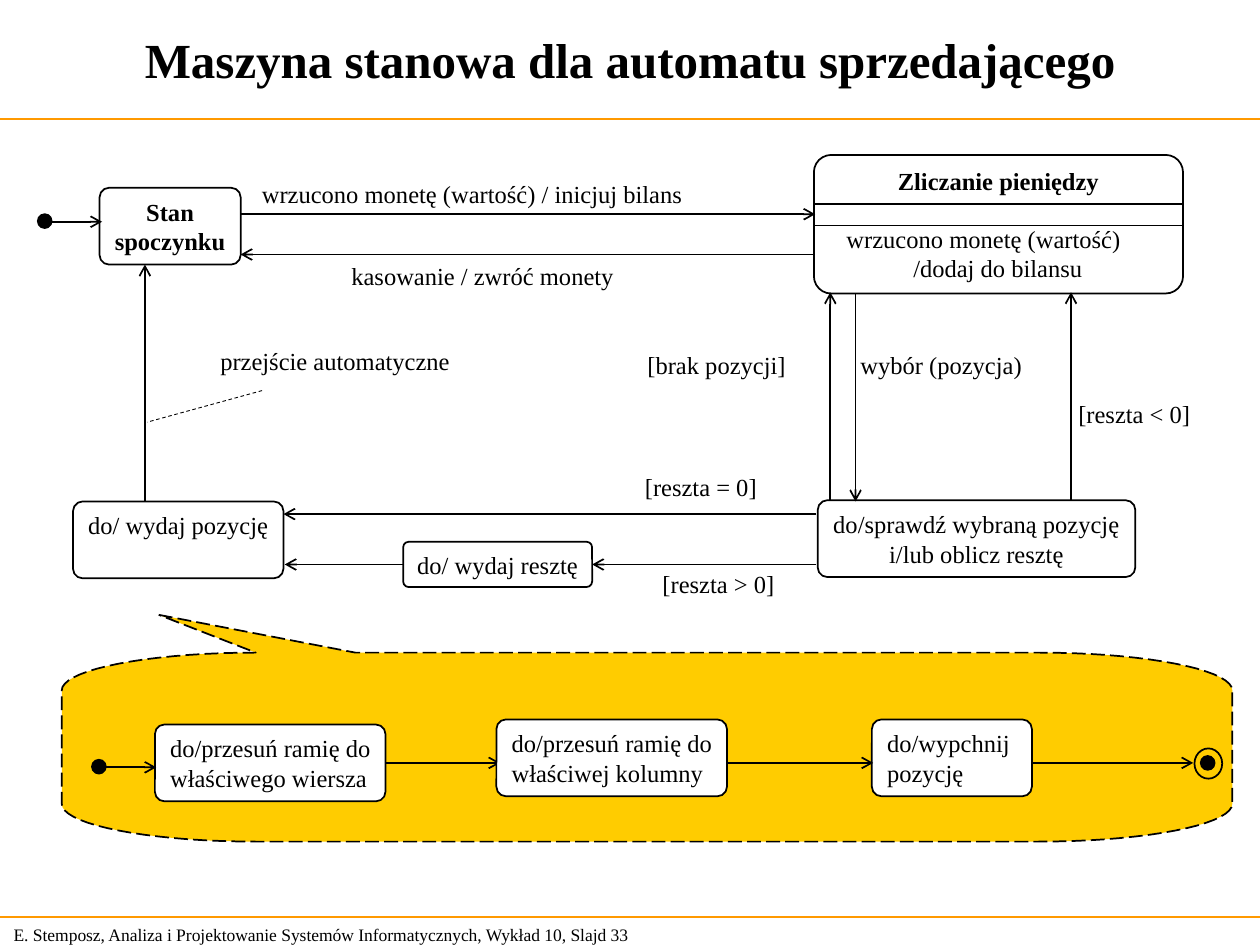
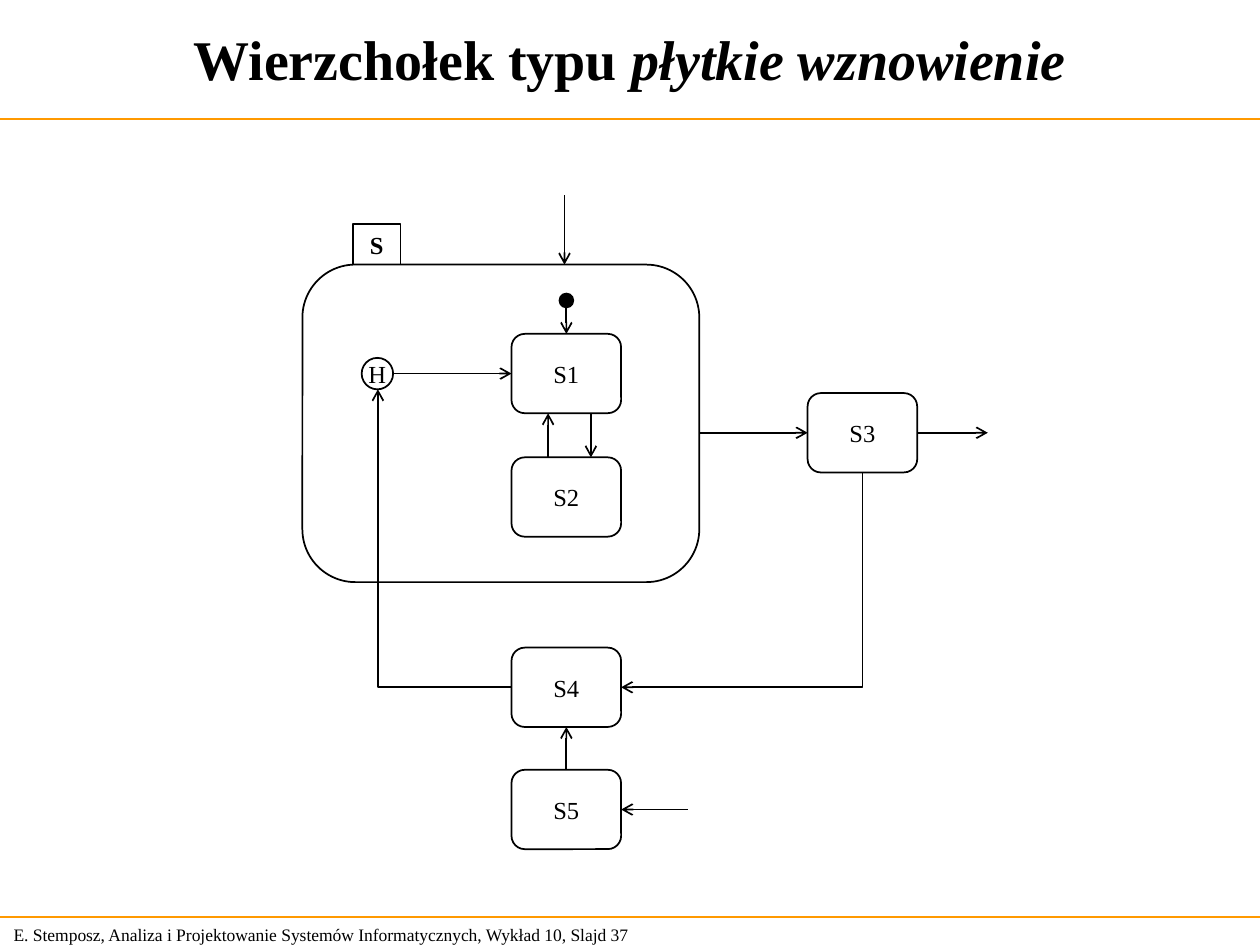
from dataclasses import dataclass
from math import cos, radians, sin

from lxml import etree
from pptx import Presentation
from pptx.dml.color import RGBColor
from pptx.enum.dml import MSO_LINE
from pptx.enum.shapes import MSO_CONNECTOR, MSO_SHAPE
from pptx.enum.text import MSO_ANCHOR, MSO_AUTO_SIZE, PP_ALIGN
from pptx.oxml.ns import qn
from pptx.util import Inches, Pt

ROUND, OVAL, RECT = MSO_SHAPE.ROUNDED_RECTANGLE, MSO_SHAPE.OVAL, MSO_SHAPE.RECTANGLE
STRAIGHT, ELBOW = MSO_CONNECTOR.STRAIGHT, MSO_CONNECTOR.ELBOW
LEFT, CENTER = PP_ALIGN.LEFT, PP_ALIGN.CENTER
TOP, MIDDLE = MSO_ANCHOR.TOP, MSO_ANCHOR.MIDDLE
DASH, LONG = MSO_LINE.DASH, MSO_LINE.LONG_DASH
UP, WEST, DOWN, EAST = range(4)  # sides of a box


@dataclass(frozen=True)
class Theme:
    font: str = "Times New Roman"
    ink: RGBColor = RGBColor(0, 0, 0)
    paper: RGBColor = RGBColor(255, 255, 255)
    rule: RGBColor = RGBColor(0xFF, 0x99, 0x00)
    gold: RGBColor = RGBColor(0xFF, 0xCC, 0x00)
    body: int = 14
    foot: int = 10
    thin: float = 0.75
    line: float = 1


theme = Theme()
deck = Presentation()
deck.slide_width, deck.slide_height = Inches(10), Inches(7.5)
U = deck.slide_width // 100  # grid of 100 columns by 75 rows


def box(page, kind, left, top, width, height, text="", fill=None, bend=None,
        align=LEFT, anchor=TOP, bold=False, size=theme.body):
    """Draw a shape, or a text box when kind is None, on the grid."""
    place = [round(v * U) for v in (left, top, width, height)]
    if kind is None:
        item = page.shapes.add_textbox(*place)
    else:
        item = page.shapes.add_shape(kind, *place)
        item.shadow.inherit = False
        item.line.color.rgb = theme.ink
        item.line.width = Pt(theme.line)
        if fill is None:
            item.fill.background()
        else:
            item.fill.solid()
            item.fill.fore_color.rgb = fill
        if bend:
            item.adjustments[0] = bend
    if text:
        frame = item.text_frame
        frame.word_wrap = kind is None
        frame.vertical_anchor = anchor
        frame.text = text
        for para in frame.paragraphs:
            para.alignment = align
            para.font.name, para.font.size = theme.font, Pt(size)
            para.font.bold, para.font.color.rgb = bold, theme.ink
    return item


def link(page, start, stop, tip="a:tailEnd", kind=STRAIGHT,
         color=theme.ink, width=theme.line, dash=None):
    """Join two ends, each a grid point or a (box, side) pair."""
    wire = page.shapes.add_connector(kind, 0, 0, 0, 0)
    if isinstance(start[0], (int, float)):
        wire.begin_x, wire.begin_y = (round(v * U) for v in start)
    else:
        wire.begin_connect(*start)
    if isinstance(stop[0], (int, float)):
        wire.end_x, wire.end_y = (round(v * U) for v in stop)
    else:
        wire.end_connect(*stop)
    wire.line.color.rgb, wire.line.width = color, Pt(width)
    if dash:
        wire.line.dash_style = dash
    props = wire.element.spPr
    if tip:
        etree.SubElement(props.find(qn("a:ln")), qn(tip), type="arrow")
    if kind == ELBOW:  # a single corner
        props.find(qn("a:prstGeom")).set("prst", "bentConnector2")
    etree.SubElement(props, qn("a:effectLst"))


# Shared frame: footer, rules and title
heads = [
    (33, 28, [("Maszyna stanowa dla automatu sprzedającego", False)]),
    (37, 32, [("Wierzchołek typu ", False), ("płytkie wznowienie", True)]),
]
pages = []
for number, size, parts in heads:
    page = deck.slides.add_slide(deck.slide_layouts[5])
    pages.append(page)
    box(page, None, 0.1, 72.8, 60, 2.7,
        f"E. Stemposz, Analiza i Projektowanie Systemów Informatycznych, Wykład 10, Slajd {number}",
        anchor=MIDDLE, size=theme.foot)
    for row in (9.43, 72.77):
        link(page, (0, row), (100, row), None, color=theme.rule)
    title = page.shapes.title
    title.left, title.top, title.width, title.height = 0, 0, 100 * U, round(9.3 * U)
    frame = title.text_frame
    frame.auto_size, frame.vertical_anchor = MSO_AUTO_SIZE.NONE, MIDDLE
    para = frame.paragraphs[0]
    para.alignment = CENTER
    para.font.name, para.font.size = theme.font, Pt(size)
    para.font.bold, para.font.color.rgb = True, theme.ink
    for words, slant in parts:
        run = para.add_run()
        run.text = words
        if slant:
            run.font.italic = True

vend, resume = pages

# Vending machine: callout with elliptic corners
dots = [(12.6, 48.8), (28.2, 51.8)]
corners = [(82.4, 54.8), (82.4, 63.8), (20.3, 63.8), (20.3, 54.8)]
for turn, (col, row) in enumerate(corners):
    for step in range(0, 91, 5):
        angle = radians(90 * turn - 90 + step)
        dots.append((col + 15.4 * cos(angle), row + 3 * sin(angle)))
dots = [(round(x * U), round(y * U)) for x, y in dots]
pen = vend.shapes.build_freeform(*dots[0])
pen.add_line_segments(dots[1:], close=True)
cloud = pen.convert_to_shape()
cloud.shadow.inherit = False
cloud.fill.solid()
cloud.fill.fore_color.rgb = theme.gold
cloud.line.color.rgb, cloud.line.width = theme.ink, Pt(theme.line)
cloud.line.dash_style = LONG

# Vending machine: labels, with room to stay on one line
for left, top, width, words in [
    (19.8, 13.7, 40, "wrzucono monetę (wartość) / inicjuj bilans"),
    (26.9, 20.2, 28, "kasowanie / zwróć monety"),
    (84.6, 31.2, 13, "[reszta < 0]"),
    (51.6, 44.7, 13, "[reszta > 0]"),
    (67.3, 27.3, 17, "wybór (pozycja)"),
    (50.4, 27.3, 15, "[brak pozycji]"),
    (50.2, 37, 13, "[reszta = 0]"),
    (16.5, 27, 26, "przejście automatyczne"),
]:
    box(vend, None, left, top, width, 3.3, words)

# Vending machine: states
box(vend, ROUND, 7.9, 14.9, 11.2, 6.1, "Stan\nspoczynku", bend=0.125, align=CENTER, bold=True)
box(vend, ROUND, 5.8, 39.8, 16.7, 6.1, "do/ wydaj pozycję", theme.paper, 0.125)
change = box(vend, ROUND, 32, 43, 15, 3.6, "do/ wydaj resztę", theme.paper, 0.125)
box(vend, ROUND, 64.9, 39.7, 25.2, 6.1, "do/sprawdź wybraną pozycję\ni/lub oblicz resztę",
    theme.paper, 0.125, CENTER)

# Vending machine: counting state with its own compartments
count = box(vend, ROUND, 64.6, 12.3, 29.3, 11,
            "Zliczanie pieniędzy\nwrzucono monetę (wartość)\n/dodaj do bilansu",
            theme.paper, 0.125, CENTER)
count.text_frame.word_wrap = True
name, first, second = count.text_frame.paragraphs
name.font.bold = True
first.space_before = Pt(16)
for para, indent in ((first, 0.12), (second, 0.65)):
    para.alignment = LEFT
    para._p.get_or_add_pPr().set("marL", str(Inches(indent)))
for row in (16.2, 17.9):
    link(vend, (64.7, row), (93.8, row), None, width=theme.thin)

# Vending machine: transitions
for start, stop in [
    ((19.1, 17), (64.7, 17)),
    ((64.5, 20.2), (19.1, 20.2)),
    ((85, 39.7), (85, 23.2)),
    ((64.8, 40.8), (22.5, 40.8)),
    ((67.9, 23.3), (67.9, 39.8)),
    ((65.9, 39.7), (65.9, 23.2)),
    ((11.5, 39.8), (11.5, 21)),
    ((64.8, 44.8), (change, EAST)),
    ((change, WEST), (22.6, 44.8)),
    ((4.1, 17.6), (8.1, 17.6)),
]:
    link(vend, start, stop)
link(vend, (20.8, 31), (11.7, 33.5), None, width=0.5, dash=DASH)

# Vending machine: steps inside the callout
push = box(vend, ROUND, 12.3, 57.5, 18.3, 6.1, "do/przesuń ramię do\nwłaściwego wiersza",
           theme.paper, 0.125)
link(vend, (push, EAST), (39.7, 60.55))
box(vend, ROUND, 39.4, 57.1, 18.3, 6.1, "do/przesuń ramię do\nwłaściwej kolumny", theme.paper, 0.125)
box(vend, ROUND, 69.2, 57.1, 12.7, 6.1, "do/wypchnij\npozycję", theme.paper, 0.125)
for start, stop, row in [(57.7, 69.3, 60.55), (81.9, 94.7, 60.55), (8.3, 12.4, 60.9)]:
    link(vend, (start, row), (stop, row))

# Vending machine: start and end marks
box(vend, OVAL, 94.8, 59.4, 2.2, 2.4)
for left, top in [(95.3, 60), (7.3, 60.3), (3, 17)]:
    box(vend, OVAL, left, top, 1.1, 1.1, fill=theme.ink)

# Shallow history: outer state with its tab
box(resume, ROUND, 24, 21, 31.5, 25.2, bend=0.167)
box(resume, RECT, 28, 17.8, 3.8, 3.2, "S", align=CENTER, bold=True)

# Shallow history: inner and outer states
s1, s2, s3, s4, s5 = [
    box(resume, ROUND, left, top, 8.7, 6.3, f"S{order}", bend=0.167, align=CENTER, anchor=MIDDLE)
    for order, (left, top) in enumerate(
        [(40.6, 26.5), (40.6, 36.3), (64.1, 31.2), (40.6, 51.4), (40.6, 61.1)], 1)
]
box(resume, OVAL, 44.4, 23.3, 1.1, 1.1, fill=theme.ink)
box(resume, OVAL, 28.7, 28.4, 2.5, 2.5, "H", theme.paper, align=CENTER, anchor=MIDDLE)

# Shallow history: transitions
for start, stop in [
    ((44.95, 24.4), (s1, UP)),
    ((46.9, 32.8), (46.9, 36.3)),
    ((43.5, 36.3), (43.5, 32.8)),
    ((44.8, 15.5), (44.8, 21)),
    ((31.2, 29.65), (s1, WEST)),
    ((55.5, 34.35), (s3, WEST)),
    ((s5, UP), (s4, DOWN)),
    ((s3, EAST), (78.4, 34.35)),
    ((54.6, 64.25), (s5, EAST)),
]:
    link(resume, start, stop)
link(resume, (s4, EAST), (s3, DOWN), "a:headEnd", ELBOW)
link(resume, (s4, WEST), (30, 30.9), kind=ELBOW)

deck.save("out.pptx")
